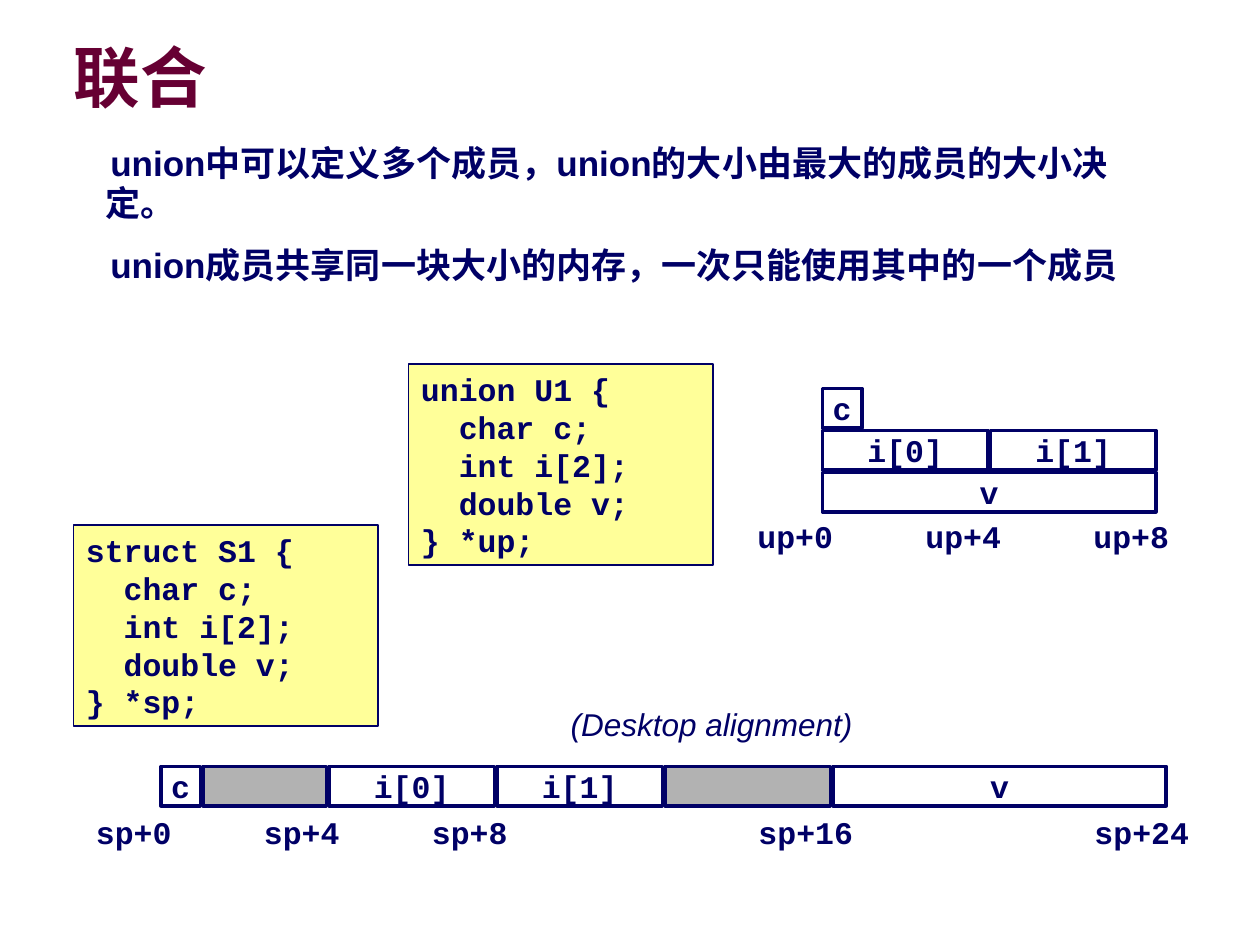
from dataclasses import dataclass

from lxml import etree
from pptx import Presentation
from pptx import util as u
from pptx.dml.color import RGBColor
from pptx.enum import shapes, text
from pptx.oxml import ns

COLORS = {"title": "660033", "ink": "000066", "code": "FFFF99",
          "cell": "FFFFFF", "padding": "B2B2B2", "shadow": "999999"}
BYTE = 24           # width of one byte in the memory diagrams
GAP = 1.5           # space between neighbouring cells
CELL_HEIGHT = 22.5
ROW_STEP = CELL_HEIGHT + GAP
CODE_SIZE = 18
CHAR = 10.8         # width of one code character
INSET_X, INSET_Y = 7.2, 3.6


@dataclass
class Listing:
    left: float
    top: float
    head: str
    pointer: str


@dataclass
class Cell:
    start: int      # first byte
    size: int       # bytes
    label: str = ""
    row: int = 0


@dataclass
class Memory:
    left: float
    top: float
    label_top: float
    pointer: str
    offsets: list[int]
    cells: list[Cell]


LISTINGS = [Listing(233.5, 208, "union U1", "up"), Listing(42, 300, "struct S1", "sp")]
MEMORIES = [
    Memory(470, 222, 292, "up", [0, 4, 8],
           [Cell(0, 1, "c"), Cell(0, 4, "i[0]", 1), Cell(4, 4, "i[1]", 1), Cell(0, 8, "v", 2)]),
    Memory(92, 438, 461, "sp", [0, 4, 8, 16, 24],
           [Cell(0, 1, "c"), Cell(4, 4, "i[0]"), Cell(8, 4, "i[1]"), Cell(16, 8, "v"),
            Cell(1, 3), Cell(12, 4)]),
]


def rgb(name: str) -> RGBColor:
    return RGBColor.from_string(COLORS[name])


def style(font, size: float, name: str = "Arial", color: str = "ink",
          bold: bool = True, italic: bool = False) -> None:
    font.size, font.name, font.bold, font.italic = u.Pt(size), name, bold, italic
    font.color.rgb = rgb(color)


def write(frame, lines: list[str], align=text.PP_ALIGN.LEFT, wrap: bool = True,
          anchor=text.MSO_ANCHOR.TOP, **font) -> None:
    frame.word_wrap, frame.vertical_anchor = wrap, anchor
    frame.margin_left = frame.margin_right = u.Pt(INSET_X)
    frame.margin_top = frame.margin_bottom = u.Pt(INSET_Y)
    for number, line in enumerate(lines):
        paragraph = frame.paragraphs[0] if number == 0 else frame.add_paragraph()
        paragraph.text, paragraph.alignment = line, align
        style(paragraph.font, **font)


def add_text(slide, left: float, top: float, width: float, height: float):
    return slide.shapes.add_textbox(u.Pt(left), u.Pt(top), u.Pt(width), u.Pt(height)).text_frame


def add_box(slide, left: float, top: float, width: float, height: float,
            fill: str, line: float):
    box = slide.shapes.add_shape(shapes.MSO_SHAPE.RECTANGLE, u.Pt(left), u.Pt(top),
                                 u.Pt(width), u.Pt(height))
    box.shadow.inherit = False
    box.fill.solid()
    box.fill.fore_color.rgb = rgb(fill)
    box.line.color.rgb = rgb("ink")
    box.line.width = u.Pt(line)
    return box.text_frame


def add_title(slide, title: str) -> None:
    frame = add_text(slide, 42, 24, 459, 45)
    write(frame, [title], anchor=text.MSO_ANCHOR.MIDDLE, size=38, color="title")
    frame.margin_left = frame.margin_right = frame.margin_top = frame.margin_bottom = 0
    paragraph = frame.paragraphs[0]
    paragraph.line_spacing = 0.87
    # Text shadow, placed right after the run's fill
    run = paragraph.runs[0]
    style(run.font, 38, color="title")
    effects = etree.Element(ns.qn("a:effectLst"))
    shadow = etree.SubElement(effects, ns.qn("a:outerShdw"),
                              dist=str(u.Pt(3)), dir="2700000")
    etree.SubElement(shadow, ns.qn("a:srgbClr"), val=COLORS["shadow"])
    run.font._element.find(ns.qn("a:solidFill")).addnext(effects)


def add_body(slide, lines: list[str]) -> None:
    frame = add_text(slide, 23, 79, 637, 428)
    write(frame, lines, size=20)
    for number, paragraph in enumerate(frame.paragraphs):
        paragraph.line_spacing = 0.95
        paragraph.space_before = u.Pt(12.5 if number else 0)
        properties = paragraph._p.get_or_add_pPr()
        properties.set("marL", str(u.Pt(30)))
        properties.set("indent", str(u.Pt(3)))


def add_listing(slide, listing: Listing) -> None:
    frame = add_box(slide, listing.left, listing.top, 174, 115, "code", 1)
    write(frame, [f"{listing.head} {{", "  char c;", "  int i[2];", "  double v;",
                  f"}} *{listing.pointer};"], size=CODE_SIZE, name="Courier New")


def add_memory(slide, memory: Memory) -> None:
    for cell in memory.cells:
        frame = add_box(slide, memory.left + cell.start * BYTE, memory.top + cell.row * ROW_STEP,
                        cell.size * BYTE - GAP, CELL_HEIGHT,
                        "cell" if cell.label else "padding", 2)
        if cell.label:
            write(frame, [cell.label], text.PP_ALIGN.CENTER, False, text.MSO_ANCHOR.MIDDLE,
                  size=CODE_SIZE, name="Courier New")
    # Addresses are centred slightly left of the byte they mark
    for offset in memory.offsets:
        address = f"{memory.pointer}+{offset}"
        width = len(address) * CHAR + 2 * INSET_X
        center = memory.left + offset * BYTE - 15.7
        write(add_text(slide, center - width / 2, memory.label_top, width, 29), [address],
              text.PP_ALIGN.RIGHT, False, size=CODE_SIZE, name="Courier New")


def main() -> None:
    deck = Presentation()
    deck.slide_width, deck.slide_height = u.Pt(720), u.Pt(540)
    slide = deck.slides.add_slide(deck.slide_layouts[6])

    # Heading and explanation
    add_title(slide, "联合")
    add_body(slide, ["union中可以定义多个成员，union的大小由最大的成员的大小决定。",
                     "union成员共享同一块大小的内存，一次只能使用其中的一个成员"])

    # Declarations and their memory layouts
    for listing in LISTINGS:
        add_listing(slide, listing)
    for memory in MEMORIES:
        add_memory(slide, memory)
    write(add_text(slide, 319, 399.5, 182, 29), ["(Desktop alignment)"],
          size=18, bold=False, italic=True)

    deck.save("out.pptx")


if __name__ == "__main__":
    main()
